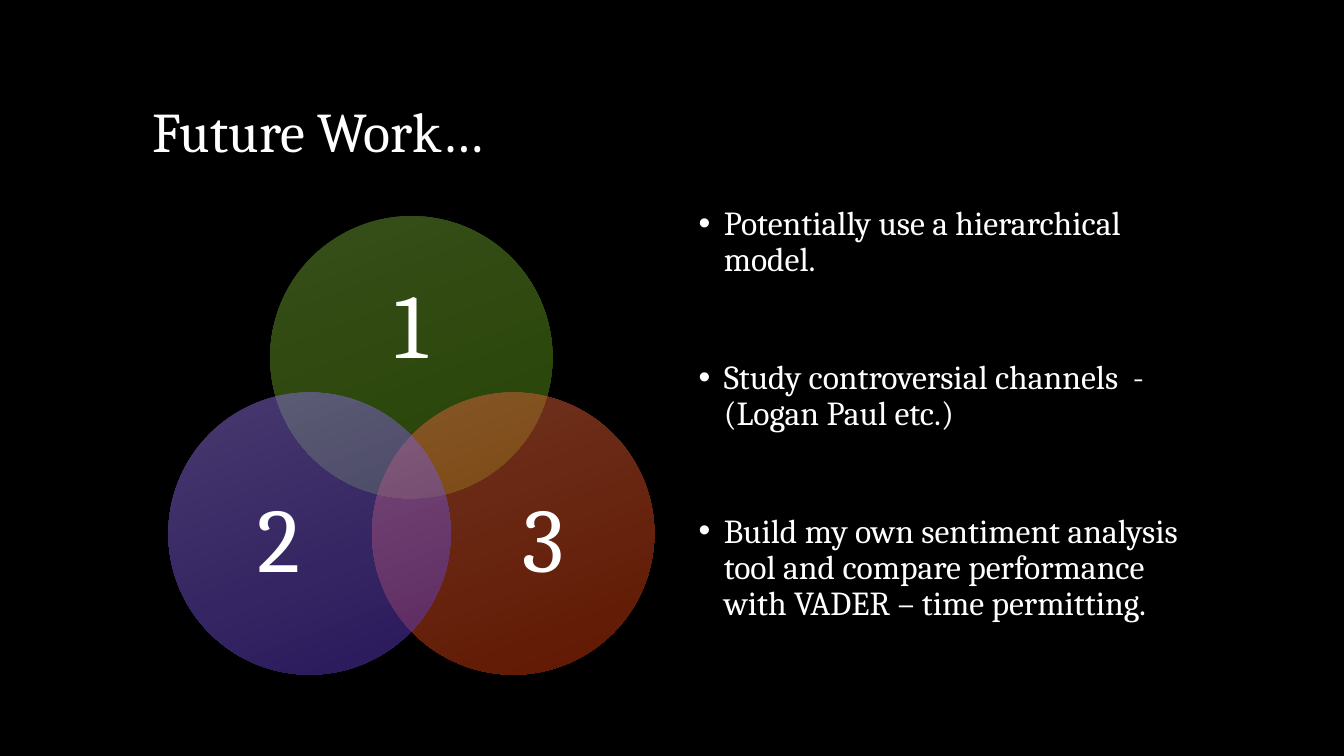
from math import cos, radians, sin, sqrt

from lxml import etree
from pptx import Presentation
from pptx import util as u
from pptx.dml.color import RGBColor
from pptx.enum import shapes, text
from pptx.oxml.ns import qn

WIDTH, HEIGHT = 13.33, 7.5
WHITE = "FFFFFF"


def color(code):
    return RGBColor.from_string(code)


def write(para, words, size, spacing):
    para.text = words
    para.line_spacing = spacing
    font = para.runs[0].font
    font.name, font.size = "Cambria", u.Pt(size)
    font.color.rgb = color(WHITE)


deck = Presentation()
deck.slide_width, deck.slide_height = u.Inches(WIDTH), u.Inches(HEIGHT)
page = deck.slides.add_slide(deck.slide_layouts[5])
page.background.fill.solid()
page.background.fill.fore_color.rgb = color("000000")

# Title
title = page.shapes.title
title.left, title.top = u.Inches(1.41), u.Inches(0.42)
title.width, title.height = u.Inches(10.5), u.Inches(1.25)
title.text_frame.vertical_anchor = text.MSO_ANCHOR.BOTTOM
write(title.text_frame.paragraphs[0], "Future Work…", 40, 0.8)
title.text_frame.paragraphs[0].alignment = text.PP_ALIGN.LEFT

# Venn diagram: circle centres sit on an equilateral triangle
DIAMETER = 2.8
CENTER_X, CENTER_Y = 4.08, 4.71
RADIUS = 2.02 / sqrt(3)
# number, angle, gradient colours, number offset, number box size
circles = [
    ("1", -90, ("6E9D35", "4E8808"), (0, -0.28), (2.05, 1.26)),
    ("3", 30, ("DE6742", "C23002"), (0.3, 0.09), (1.68, 1.54)),
    ("2", 150, ("8F73DF", "5331B6"), (-0.3, 0.09), (1.68, 1.54)),
]
for number, angle, gradient, (shift_x, shift_y), (box_width, box_height) in circles:
    x = CENTER_X + RADIUS * cos(radians(angle))
    y = CENTER_Y + RADIUS * sin(radians(angle))
    circle = page.shapes.add_shape(
        shapes.MSO_SHAPE.OVAL,
        u.Inches(x - DIAMETER / 2), u.Inches(y - DIAMETER / 2),
        u.Inches(DIAMETER), u.Inches(DIAMETER))
    circle.shadow.inherit = False
    circle.line.fill.background()
    circle.fill.gradient()
    circle.fill.gradient_angle = 360 - 69
    for stop, code in zip(circle.fill.gradient_stops, gradient):
        stop.color.rgb = color(code)
    # Half transparent, so the overlaps show
    for tint in circle._element.spPr.iter(qn("a:srgbClr")):
        etree.SubElement(tint, qn("a:alpha"), val="50000")

    box = page.shapes.add_textbox(
        u.Inches(x + shift_x - box_width / 2), u.Inches(y + shift_y - box_height / 2),
        u.Inches(box_width), u.Inches(box_height))
    frame = box.text_frame
    frame.word_wrap = True
    frame.vertical_anchor = text.MSO_ANCHOR.MIDDLE
    frame.margin_left = frame.margin_right = frame.margin_top = frame.margin_bottom = 0
    write(frame.paragraphs[0], number, 65, 0.9)
    frame.paragraphs[0].alignment = text.PP_ALIGN.CENTER

# Bullet list
ideas = [
    "Potentially use a hierarchical model.",
    "Study controversial channels  - (Logan Paul etc.)",
    "Build my own sentiment analysis tool and compare performance "
    "with VADER – time permitting.",
]
body = page.shapes.add_textbox(u.Inches(6.83), u.Inches(2), u.Inches(5.08), u.Inches(4.75))
body.text_frame.word_wrap = True
for index, idea in enumerate(ideas):
    para = body.text_frame.add_paragraph() if index else body.text_frame.paragraphs[0]
    write(para, idea, 24, 0.9)
    para.space_before = u.Pt(58 if index else 0)
    properties = para._p.get_or_add_pPr()
    properties.set("marL", str(u.Inches(0.25)))
    properties.set("indent", str(-u.Inches(0.25)))
    etree.SubElement(properties, qn("a:buFont"), typeface="Arial")
    etree.SubElement(properties, qn("a:buChar"), char="•")

deck.save("out.pptx")
